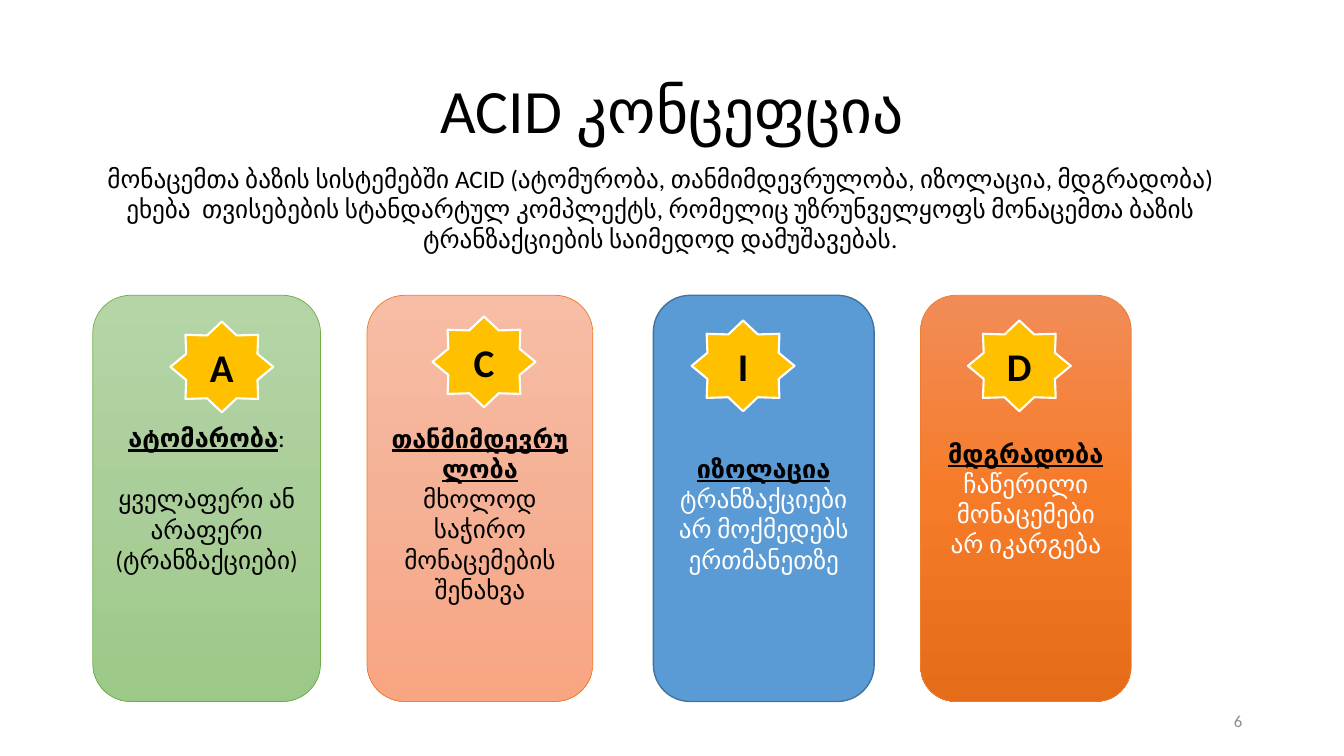
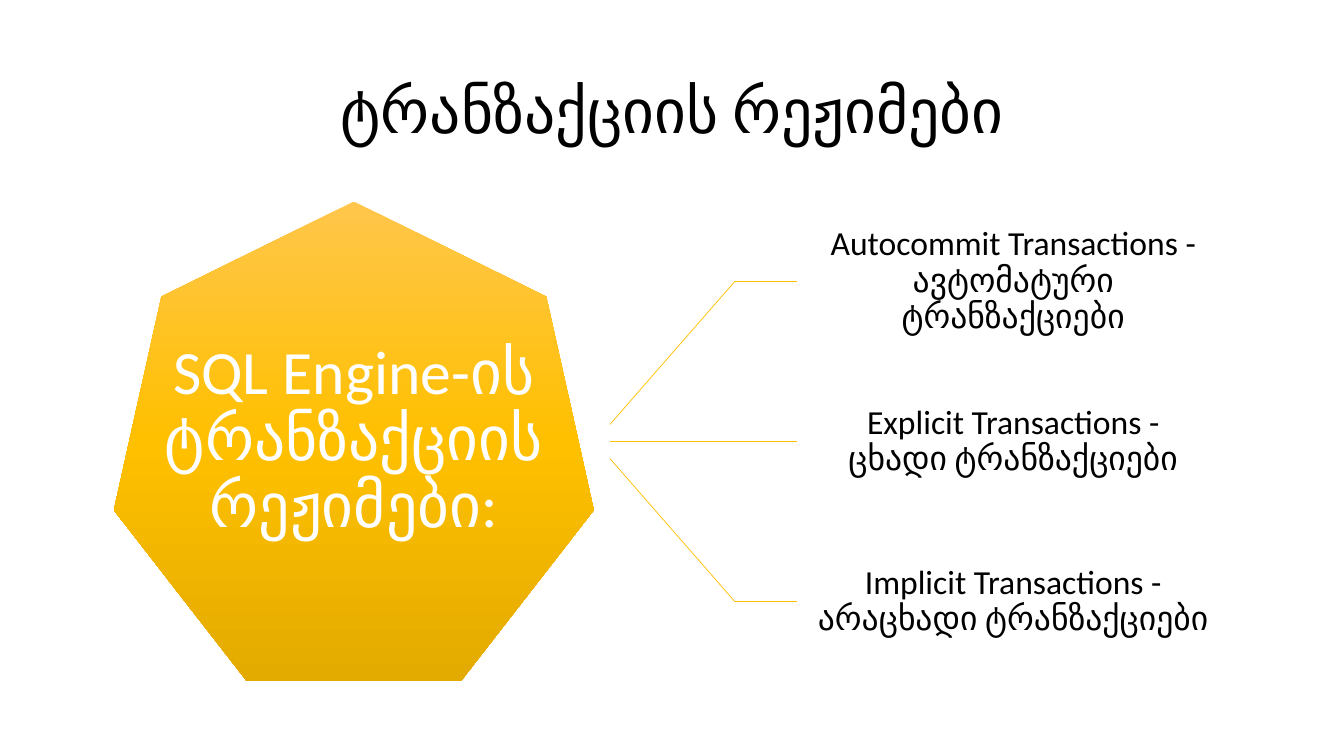
"""Builds two slides on database transactions: the ACID concept and the transaction modes."""
from copy import deepcopy

from pptx import Presentation
from pptx.dml.color import RGBColor
from pptx.enum.shapes import MSO_CONNECTOR, MSO_SHAPE
from pptx.enum.text import MSO_ANCHOR, MSO_AUTO_SIZE, PP_ALIGN
from pptx.oxml.ns import qn
from pptx.oxml.xmlchemy import OxmlElement
from pptx.util import Pt

PX = 9144
FONT = "Calibri"
BLACK = RGBColor(0x00, 0x00, 0x00)
WHITE = RGBColor(0xFF, 0xFF, 0xFF)
GRAY = RGBColor(0x8C, 0x8C, 0x8C)
GOLD = RGBColor(0xFF, 0xC0, 0x00)
GREEN = RGBColor(0x70, 0xAD, 0x47)
ORANGE = RGBColor(0xED, 0x7D, 0x31)
BLUE = RGBColor(0x5B, 0x9B, 0xD5)
NAVY = RGBColor(0x43, 0x73, 0x9E)
GREENS = [RGBColor(0xB5, 0xD5, 0xA7), RGBColor(0xAA, 0xCE, 0x9A), RGBColor(0x9C, 0xC9, 0x87)]
PEACHES = [RGBColor(0xF7, 0xBD, 0xA5), RGBColor(0xF5, 0xB1, 0x96), RGBColor(0xF8, 0xA5, 0x82)]
ORANGES = [RGBColor(0xF1, 0x8C, 0x57), RGBColor(0xF6, 0x7B, 0x28), RGBColor(0xE5, 0x6C, 0x19)]
GOLDS = [RGBColor(0xFF, 0xC6, 0x4B), GOLD, RGBColor(0xE3, 0xAB, 0x00)]
CENTER, RIGHT = PP_ALIGN.CENTER, PP_ALIGN.RIGHT
TOP, MIDDLE = MSO_ANCHOR.TOP, MSO_ANCHOR.MIDDLE
NO_FIT = MSO_AUTO_SIZE.NONE
ROUNDED, STAR, HEPTAGON = MSO_SHAPE.ROUNDED_RECTANGLE, MSO_SHAPE.STAR_8_POINT, MSO_SHAPE.HEPTAGON
STRAIGHT = MSO_CONNECTOR.STRAIGHT
HEADING = {"bold": True, "underline": True}


def write(sp, paragraphs, size, color=BLACK, align=CENTER, spacing=1.0, **frame):
    tf = sp.text_frame
    for name, value in {"word_wrap": True, "auto_size": NO_FIT, "vertical_anchor": MIDDLE, **frame}.items():
        setattr(tf, name, value)
    for i, runs in enumerate(paragraphs):
        p = tf.add_paragraph() if i else tf.paragraphs[0]
        p.alignment, p.line_spacing = align, spacing
        for text, look in runs:
            r = p.add_run()
            r.text = text
            r.font.color.rgb = color
            for name, value in {"name": FONT, "size": Pt(size), **look}.items():
                if name == "color":
                    r.font.color.rgb = value
                else:
                    setattr(r.font, name, value)


def draw(s, kind, box, fill, line=None, weight=0.5):
    sp = s.shapes.add_shape(kind, *(v * PX for v in box))
    sp.shadow.inherit = False
    if isinstance(fill, list):
        sp.fill.gradient()
        sp.fill.gradient_angle = 270
        stops = sp._element.spPr.find(".//" + qn("a:gsLst"))
        stops.insert(1, deepcopy(stops[0]))
        for i, stop in enumerate(sp.fill.gradient_stops):
            stop.color.rgb, stop.position = fill[i], i / 2
    else:
        sp.fill.solid()
        sp.fill.fore_color.rgb = fill
    if line is None:
        sp.line.fill.background()
    else:
        sp.line.color.rgb, sp.line.width = line, Pt(weight)
    return sp


prs = Presentation()
prs.slide_width, prs.slide_height = 1333 * PX, 750 * PX

slides = []
for title in ("ACID კონცეფცია", "ტრანზაქციის რეჟიმები"):
    s = prs.slides.add_slide(prs.slide_layouts[5])
    sp = s.shapes.title
    sp.left, sp.top, sp.width, sp.height = (v * PX for v in (92, 40, 1150, 145))
    write(sp, [[(title, {})]], 44, spacing=0.9)
    slides.append(s)
acid, modes = slides

sp = acid.shapes.add_textbox(942 * PX, 695 * PX, 300 * PX, 40 * PX)
write(sp, [[("6", {})]], 12, GRAY, RIGHT)

sp = acid.shapes.add_textbox(92 * PX, 157 * PX, 1126 * PX, 101 * PX)
write(sp, [[("მონაცემთა ბაზის სისტემებში ACID (ატომურობა, თანმიმდევრულობა, იზოლაცია, მდგრადობა) "
             "ეხება  თვისებების სტანდარტულ კომპლექტს, რომელიც უზრუნველყოფს მონაცემთა ბაზის "
             "ტრანზაქციების საიმედოდ დამუშავებას.", {})]], 18, vertical_anchor=TOP)

cards = [
    (92, 226, GREENS, GREEN, 0.5, 5, "A", 169, 319,
     [[("ატომარობა", HEADING), (":", {})],
      [("ყველაფერი ან არაფერი", {})],
      [("(ტრანზაქციები)", {})]]),
    (364, 224, PEACHES, ORANGE, 0.5, 35, "C", 429, 314,
     [[("თანმიმდევრულობა", HEADING)],
      [("მხოლოდ საჭირო მონაცემების შენახვა", {})]]),
    (648, 219, BLUE, NAVY, 1, 35, "I", 686, 318,
     [[("იზოლაცია", HEADING)],
      [("ტრანზაქციები არ მოქმედებს ერთმანეთზე", {"color": WHITE})]]),
    (913, 209, ORANGES, ORANGE, 0.5, 5, "D", 960, 318,
     [[("მდგრადობა", HEADING)],
      [("ჩაწერილი მონაცემები არ იკარგება", {"color": WHITE})]]),
]
for left, width, fill, line, weight, inset, letter, star_left, star_top, paragraphs in cards:
    sp = draw(acid, ROUNDED, (left, 293, width, 403), fill, line, weight)
    write(sp, paragraphs, 18, margin_top=inset * PX)
    if letter == "A":
        sp.text_frame.paragraphs[0].space_after = Pt(22)
    sp = draw(acid, STAR, (star_left, star_top, 102, 90), GOLD, WHITE, 1.5)
    write(sp, [[(letter, {"bold": True})]], 28)

sides = ("margin_left", "margin_top", "margin_right", "margin_bottom")
draw(modes, HEPTAGON, (113, 200, 476, 476), GOLDS)
sp = modes.shapes.add_textbox(160 * PX, 294 * PX, 382 * PX, 287 * PX)
write(sp, [[("SQL Engine-ის ტრანზაქციის რეჟიმები:", {})]], 44, WHITE, spacing=0.9,
      **dict.fromkeys(sides, 0))

names = (
    "Autocommit Transactions - ავტომატური ტრანზაქციები",
    "Explicit Transactions - ცხადი ტრანზაქციები",
    "Implicit Transactions - არაცხადი ტრანზაქციები",
)
for i, name in enumerate(names):
    top = 200 + 159 * i
    y = top + 79
    sp = modes.shapes.add_textbox(790 * PX, top * PX, 430 * PX, 158 * PX)
    write(sp, [[(name, {})]], 24, spacing=0.9, **dict.fromkeys(sides, 19 * PX))
    branch = modes.shapes.add_connector(STRAIGHT, 605 * PX, (438 + 17 * (i - 1)) * PX, 729 * PX, y * PX)
    stub = modes.shapes.add_connector(STRAIGHT, 729 * PX, y * PX, 790 * PX, y * PX)
    stub.end_connect(sp, 1)
    for line in (branch, stub):
        line.line.color.rgb, line.line.width = GOLD, Pt(0.5)
        line._element.spPr.append(OxmlElement("a:effectLst"))

prs.save("out.pptx")
